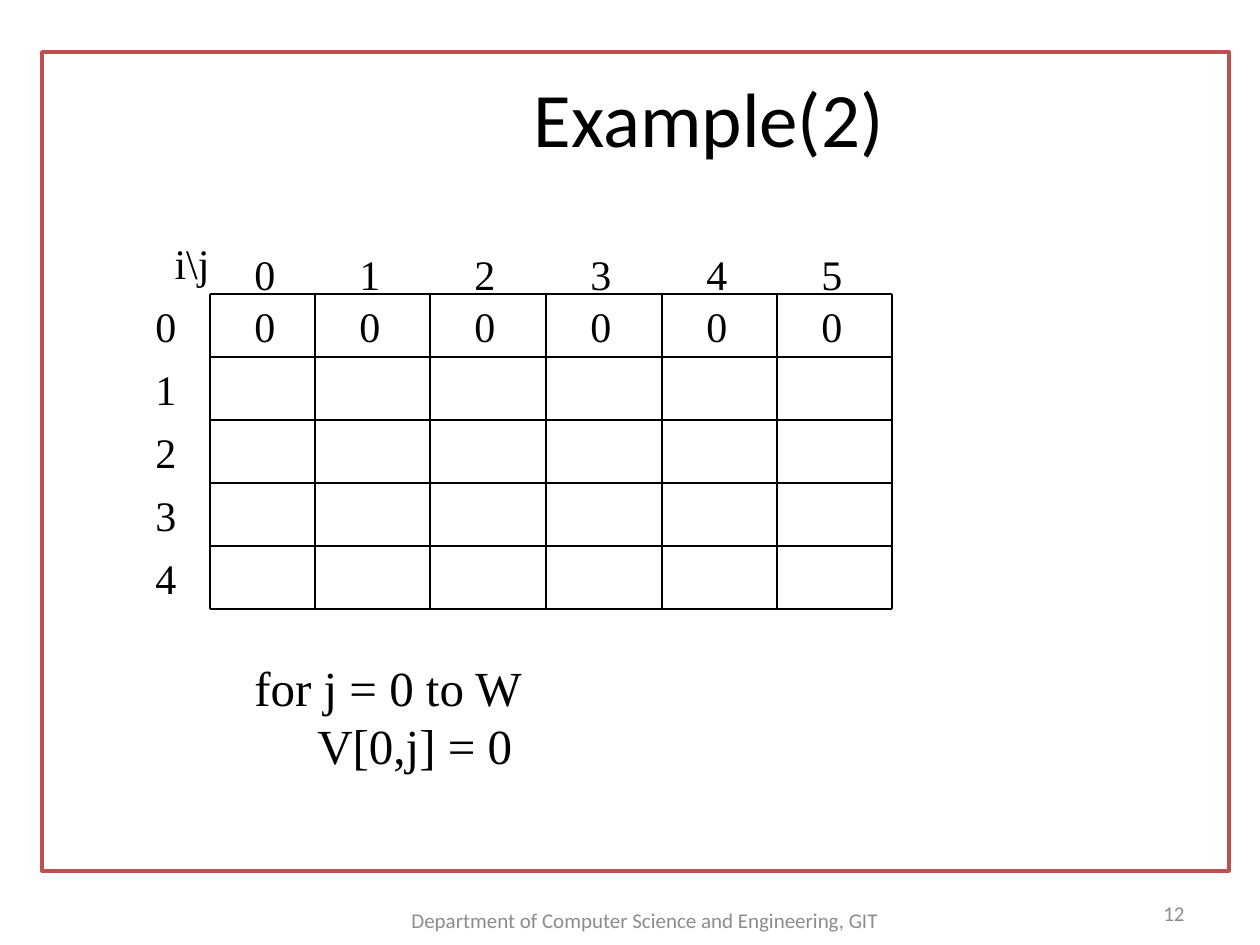
from pptx import Presentation
from pptx.dml.color import RGBColor
from pptx.enum.shapes import MSO_CONNECTOR as CONNECTOR, MSO_SHAPE as SHAPE
from pptx.enum.text import MSO_ANCHOR as ANCHOR, MSO_AUTO_SIZE as AUTO_SIZE, PP_ALIGN as ALIGN
from pptx.util import Emu, Pt
from lxml.etree import SubElement
from pptx.oxml.ns import qn

EMU_PER_PX = 914400 / 126
COLORS = {"ink": "000000", "paper": "FFFFFF", "frame": "C0504D", "footer": "8C8C8C"}
SERIF, SANS = "Times New Roman", "Calibri"

# Grid edges: a narrower first column, then five equal ones
COLUMN_EDGES = [210] + [round(315 + 115.5 * step) for step in range(6)]
ROW_EDGES = [294 + 63 * step for step in range(6)]


def px(length):
    return Emu(round(length * EMU_PER_PX))


def color(name):
    return RGBColor.from_string(COLORS[name])


def write(box, lines, size, font, ink="ink", align=ALIGN.LEFT):
    frame = box.text_frame
    for index, line in enumerate(lines):
        para = frame.paragraphs[0] if index == 0 else frame.add_paragraph()
        para.alignment = align
        span = para.add_run()
        span.text = line
        span.font.size = Pt(size)
        span.font.name = font
        span.font.color.rgb = color(ink)


def add_text(page, area, lines, size=24, font=SERIF, ink="ink", align=ALIGN.LEFT,
             anchor=ANCHOR.TOP, wrap=True, grow=True):
    box = page.shapes.add_textbox(*map(px, area))
    frame = box.text_frame
    frame.word_wrap = wrap
    frame.vertical_anchor = anchor
    frame.auto_size = AUTO_SIZE.SHAPE_TO_FIT_TEXT if grow else AUTO_SIZE.NONE
    write(box, lines, size, font, ink, align)


def add_digit(page, left, top, value):
    add_text(page, (left, top, 47, 63), [str(value)], wrap=False)


def add_line(page, x1, y1, x2, y2):
    line = page.shapes.add_connector(CONNECTOR.STRAIGHT, px(x1), px(y1), px(x2), px(y2))
    line.line.color.rgb = color("ink")
    line.line.width = Pt(0.75)
    SubElement(line._element.spPr, qn("a:effectLst"))


def add_frame(page):
    frame = page.shapes.add_shape(SHAPE.RECTANGLE, px(42), px(52), px(1187), px(819))
    frame.shadow.inherit = False
    frame.fill.solid()
    frame.fill.fore_color.rgb = color("paper")
    frame.line.color.rgb = color("frame")
    frame.line.width = Pt(2)


def set_title(page, text):
    title = page.shapes.title
    title.left, title.top, title.width, title.height = map(px, (221, 38, 976, 157))
    title.text_frame.vertical_anchor = ANCHOR.MIDDLE
    write(title, [text], 44, SANS, align=ALIGN.CENTER)
    # Bring the title in front of the frame
    page.shapes._spTree.append(title._element)


def add_grid(page):
    for x in COLUMN_EDGES:
        add_line(page, x, ROW_EDGES[0], x, ROW_EDGES[-1])
    for y in ROW_EDGES:
        add_line(page, COLUMN_EDGES[0], y, COLUMN_EDGES[-1], y)

    # Column headings and the zeros of the first row
    for j, x in enumerate(COLUMN_EDGES[:-1]):
        add_digit(page, x + 32, 242, j)
        add_digit(page, x + 32, ROW_EDGES[0], 0)

    # Row headings and the corner label
    for i, y in enumerate(ROW_EDGES[:-1]):
        add_digit(page, 143, y, i)
    add_text(page, (145, 231, 94, 63), ["i\\j"], align=ALIGN.CENTER)


def main():
    deck = Presentation()
    deck.slide_width, deck.slide_height = px(1260), px(945)
    page = deck.slides.add_slide(deck.slide_layouts[5])

    add_frame(page)
    set_title(page, "Example(2)")
    add_grid(page)
    add_text(page, (242, 651, 473, 130), ["for j = 0 to W", "\tV[0,j] = 0"], size=28)

    # Footer and page number
    small = {"size": 12, "font": SANS, "ink": "footer", "anchor": ANCHOR.MIDDLE, "grow": False}
    add_text(page, (388, 895, 514, 50), ["Department of Computer Science and Engineering, GIT"],
             align=ALIGN.CENTER, **small)
    add_text(page, (1124, 888, 73, 50), ["12"], align=ALIGN.RIGHT, **small)

    deck.save("out.pptx")


main()
